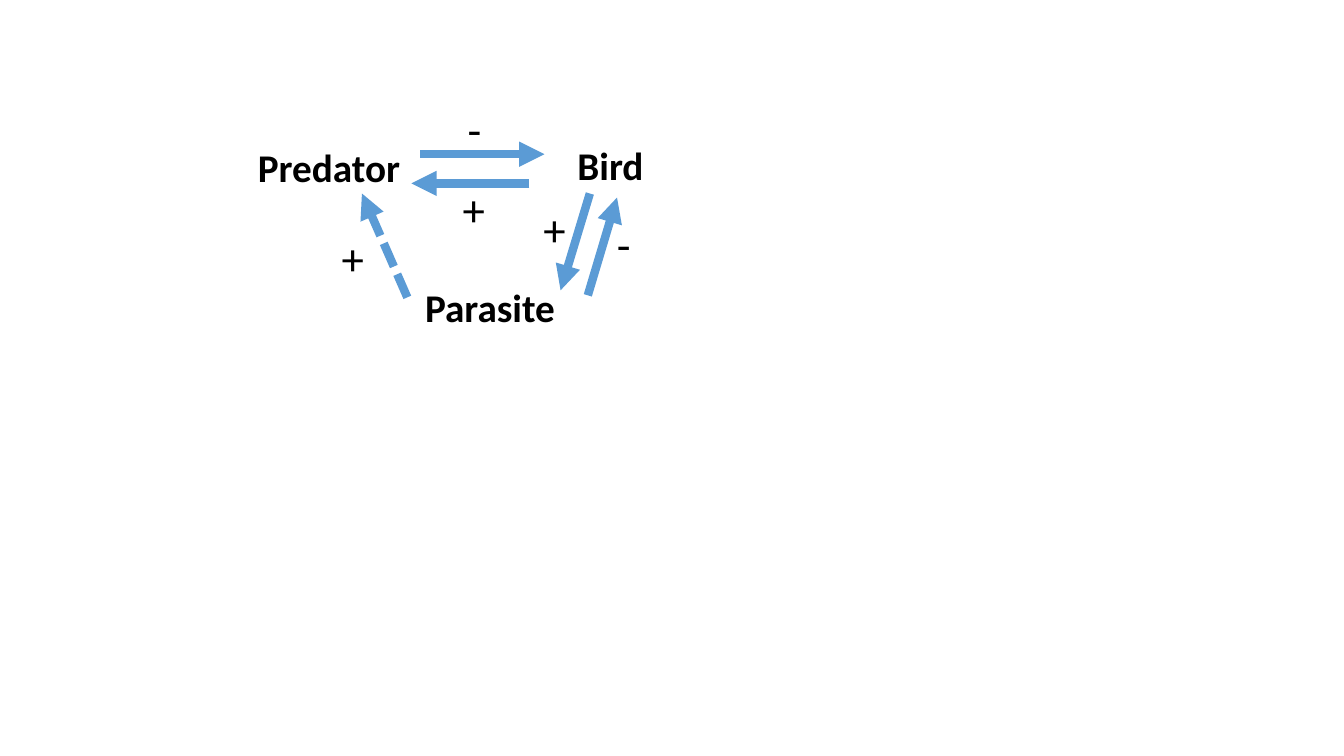
from pptx import Presentation
from pptx.dml.color import RGBColor
from pptx.enum.dml import MSO_LINE
from pptx.enum.shapes import MSO_CONNECTOR
from pptx.enum.text import MSO_AUTO_SIZE, PP_ALIGN
from pptx.oxml.ns import qn
from pptx.util import Inches, Pt
from lxml.etree import SubElement

BLACK, BLUE = "000000", "5B9BD5"
SPECIES = [
    ("Predator", 0, 0.41, 1.69, PP_ALIGN.LEFT),
    ("Bird", 3.04, 0.39, 1.11, PP_ALIGN.CENTER),
    ("Parasite", 1.39, 1.8, 2.02, PP_ALIGN.CENTER),
]
EFFECTS = [
    ((1.71, 0.57), (2.94, 0.57), "-", (2.08, 0), None),
    ((2.79, 0.86), (1.62, 0.86), "+", (2.03, 0.79), None),
    ((3.39, 0.96), (3.1, 1.92), "+", (2.83, 0.99), None),
    ((3.37, 1.97), (3.66, 1), "-", (3.56, 1.14), None),
    ((1.58, 1.99), (1.13, 0.96), "+", (0.83, 1.28), MSO_LINE.SQUARE_DOT),
]


def color(value):
    """Turn a hex string into a colour."""
    return RGBColor.from_string(value)


def add_text(slide, text, x, y, w, h, size=28, bold=False, align=PP_ALIGN.LEFT):
    """Place one line of text in a box that fits it."""
    s = slide.shapes.add_textbox(Inches(x), Inches(y), Inches(w), Inches(h))
    tf = s.text_frame
    tf.word_wrap = True
    tf.auto_size = MSO_AUTO_SIZE.SHAPE_TO_FIT_TEXT
    p = tf.paragraphs[0]
    p.alignment = align
    r = p.add_run()
    r.text = text
    r.font.name = "Calibri"
    r.font.size = Pt(size)
    r.font.bold = bold
    r.font.color.rgb = color(BLACK)


def add_arrow(slide, x1, y1, x2, y2, dash=None):
    """Draw a thick arrow from the first point to the second."""
    s = slide.shapes.add_connector(
        MSO_CONNECTOR.STRAIGHT, Inches(x1), Inches(y1), Inches(x2), Inches(y2))
    s.line.color.rgb = color(BLUE)
    s.line.width = Pt(6)
    if dash:
        s.line.dash_style = dash
    SubElement(s.line._get_or_add_ln(), qn("a:tailEnd"), type="triangle")
    SubElement(s._element.spPr, qn("a:effectLst"))


def add_food_web(slide, left, top):
    """Draw the species and their effects on each other."""
    for name, x, y, w, align in SPECIES:
        add_text(slide, name, left + x, top + y, w, 0.57, bold=True, align=align)
    for (x1, y1), (x2, y2), sign, (x, y), dash in EFFECTS:
        add_arrow(slide, left + x1, top + y1, left + x2, top + y2, dash)
        add_text(slide, sign, left + x, top + y, 0.42, 0.64, size=32)


def main():
    """Build and save the slide."""
    prs = Presentation()
    prs.slide_width, prs.slide_height = Inches(13.33), Inches(7.5)
    slide = prs.slides.add_slide(prs.slide_layouts[6])
    add_food_web(slide, 2.46, 0.96)
    prs.save("out.pptx")


if __name__ == "__main__":
    main()
